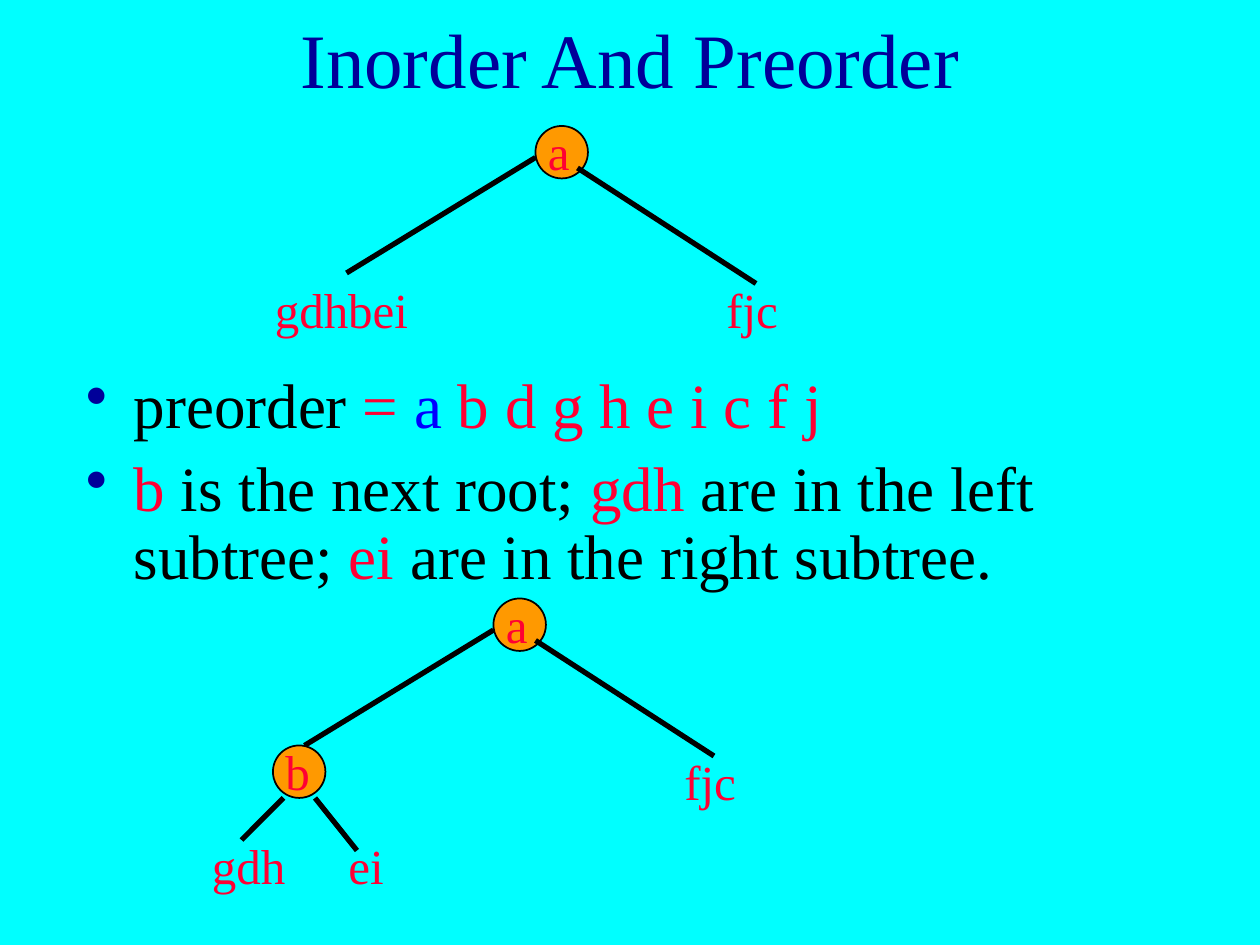
from dataclasses import dataclass

from lxml.etree import SubElement
from pptx import Presentation
from pptx.dml.color import RGBColor
from pptx.enum.shapes import MSO_CONNECTOR, MSO_SHAPE
from pptx.enum.text import MSO_ANCHOR, MSO_AUTO_SIZE, PP_ALIGN
from pptx.oxml.ns import qn
from pptx.util import Inches, Pt


@dataclass(frozen=True)
class Theme:
    font: str = "Times New Roman"
    background: str = "00FFFF"
    heading: str = "000099"
    ink: str = "000000"
    accent: str = "FF0033"
    root: str = "0000FF"
    node: str = "FF9900"
    title_size: int = 44
    body_size: int = 36
    label_size: int = 28


class TreeSlide:
    """Draws on a grid of 120 columns by 90 rows."""

    COLUMNS = 120
    NODE = 5
    LABEL_HEIGHT = 7

    def __init__(self, presentation, theme):
        self.theme = theme
        self.unit = presentation.slide_width / self.COLUMNS
        self.slide = presentation.slides.add_slide(presentation.slide_layouts[6])
        self.shapes = self.slide.shapes
        fill = self.slide.background.fill
        fill.solid()
        fill.fore_color.rgb = RGBColor.from_string(theme.background)

    def grid(self, *cells):
        return [round(cell * self.unit) for cell in cells]

    def start_tree(self):
        """Collect the nodes, edges and labels that follow in a new group."""
        self.shapes = self.slide.shapes.add_group_shape().shapes

    def frame(self, column, row, width, height):
        frame = self.shapes.add_textbox(
            *self.grid(column, row, width, height)).text_frame
        frame.word_wrap = True
        return frame

    def add_runs(self, paragraph, parts, size):
        for words, color in parts:
            run = paragraph.add_run()
            run.text = words
            run.font.name = self.theme.font
            run.font.size = Pt(size)
            run.font.color.rgb = RGBColor.from_string(color)

    def title(self, words):
        frame = self.frame(9, 2, 102, 7)
        frame.vertical_anchor = MSO_ANCHOR.MIDDLE
        heading = frame.paragraphs[0]
        heading.alignment = PP_ALIGN.CENTER
        self.add_runs(heading, [(words, self.theme.heading)], self.theme.title_size)

    def bullets(self, items):
        frame = self.frame(7, 35, 102, 24)
        for index, parts in enumerate(items):
            item = frame.add_paragraph() if index else frame.paragraphs[0]
            item.line_spacing = 0.9
            item.space_before = Pt(9)
            properties = item._p.get_or_add_pPr()
            properties.set("marL", str(Inches(0.38)))
            properties.set("indent", str(-Inches(0.38)))
            bullet_color = SubElement(properties, qn("a:buClr"))
            SubElement(bullet_color, qn("a:srgbClr"), val=self.theme.heading)
            SubElement(properties, qn("a:buChar"), char="•")
            self.add_runs(item, parts, self.theme.body_size)

    def label(self, words, column, row, width):
        frame = self.frame(column, row, width, self.LABEL_HEIGHT)
        frame.auto_size = MSO_AUTO_SIZE.SHAPE_TO_FIT_TEXT
        frame.paragraphs[0].space_before = Pt(17.5)
        self.add_runs(frame.paragraphs[0], [(words, self.theme.accent)],
                      self.theme.label_size)

    def node(self, letter, column, row):
        circle = self.shapes.add_shape(
            MSO_SHAPE.OVAL, *self.grid(column, row, self.NODE, self.NODE))
        circle.shadow.inherit = False
        circle.fill.solid()
        circle.fill.fore_color.rgb = RGBColor.from_string(self.theme.node)
        circle.line.color.rgb = RGBColor.from_string(self.theme.ink)
        circle.line.width = Pt(1)
        self.label(letter, column, row - 1, 10)

    def edge(self, *ends):
        edge = self.shapes.add_connector(MSO_CONNECTOR.STRAIGHT, *self.grid(*ends))
        edge.line.color.rgb = RGBColor.from_string(self.theme.ink)
        edge.line.width = Pt(3)
        SubElement(edge._element.spPr, qn("a:effectLst"))

    def root(self, column, row):
        """Root a, its two branches and the right subtree fjc."""
        self.start_tree()
        self.node("a", column, row)
        self.edge(column, row + 3, column - 18, row + 14)
        self.edge(column + 4, row + 4, column + 21, row + 15)
        self.label("fjc", column + 17, row + 14, 17)


def main():
    presentation = Presentation()
    presentation.slide_width, presentation.slide_height = Inches(10), Inches(7.5)
    theme = Theme()
    slide = TreeSlide(presentation, theme)

    slide.title("Inorder And Preorder")
    slide.bullets([
        [("preorder", theme.ink), (" = ", theme.accent), ("a", theme.root),
         (" b d g h e i c f j", theme.accent)],
        [("b", theme.accent), (" is the next root; ", theme.ink),
         ("gdh", theme.accent), (" are in the left subtree; ", theme.ink),
         ("ei", theme.accent), (" are in the right subtree.", theme.ink)],
    ])

    slide.root(51, 12)
    slide.label("gdhbei", 25, 26, 17)

    slide.root(47, 57)
    slide.node("b", 26, 71)
    slide.edge(27, 76, 23, 80)
    slide.edge(30, 76, 34, 81)
    slide.label("gdh", 19, 79, 10)
    slide.label("ei", 32, 79, 8)

    presentation.save("out.pptx")


if __name__ == "__main__":
    main()
